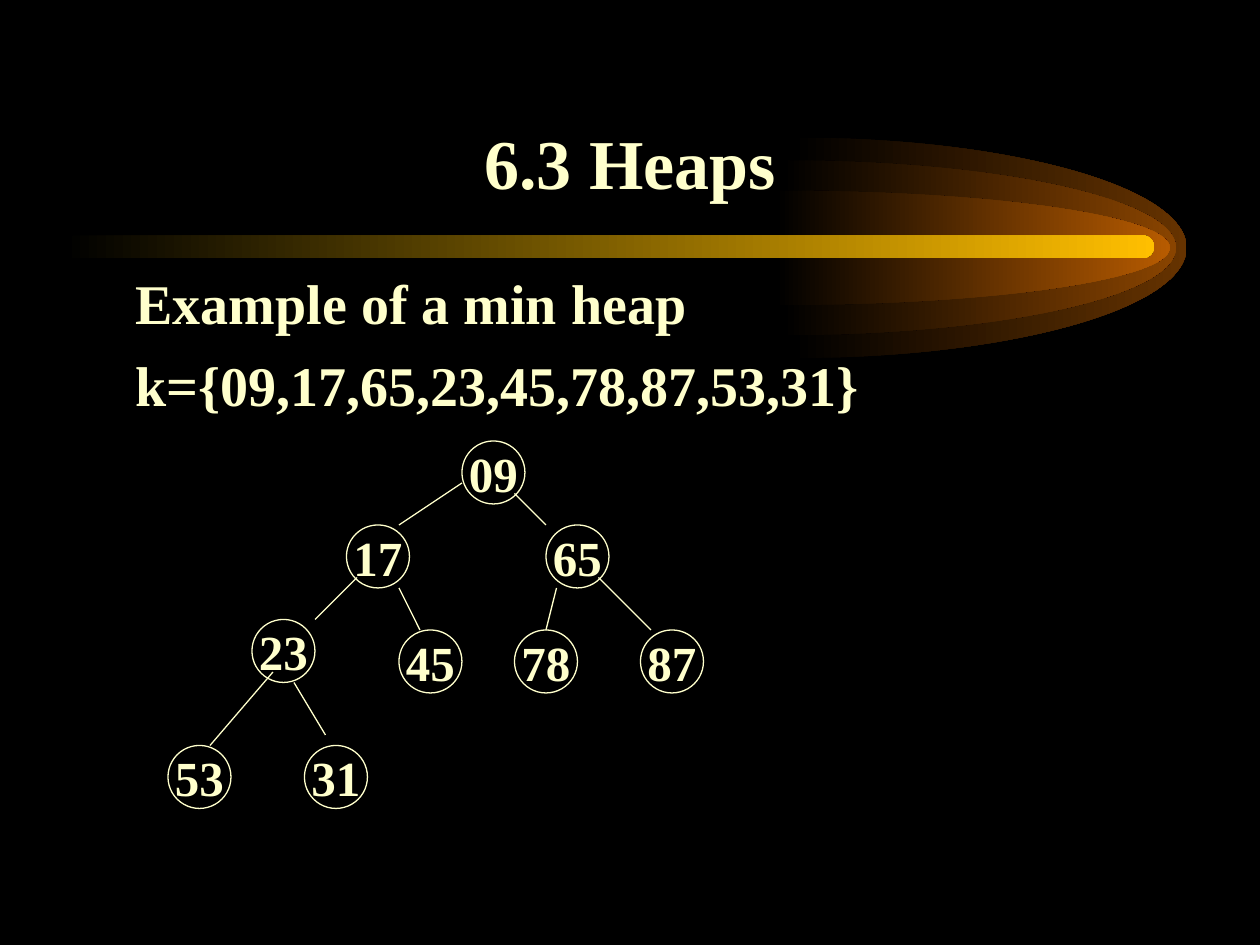
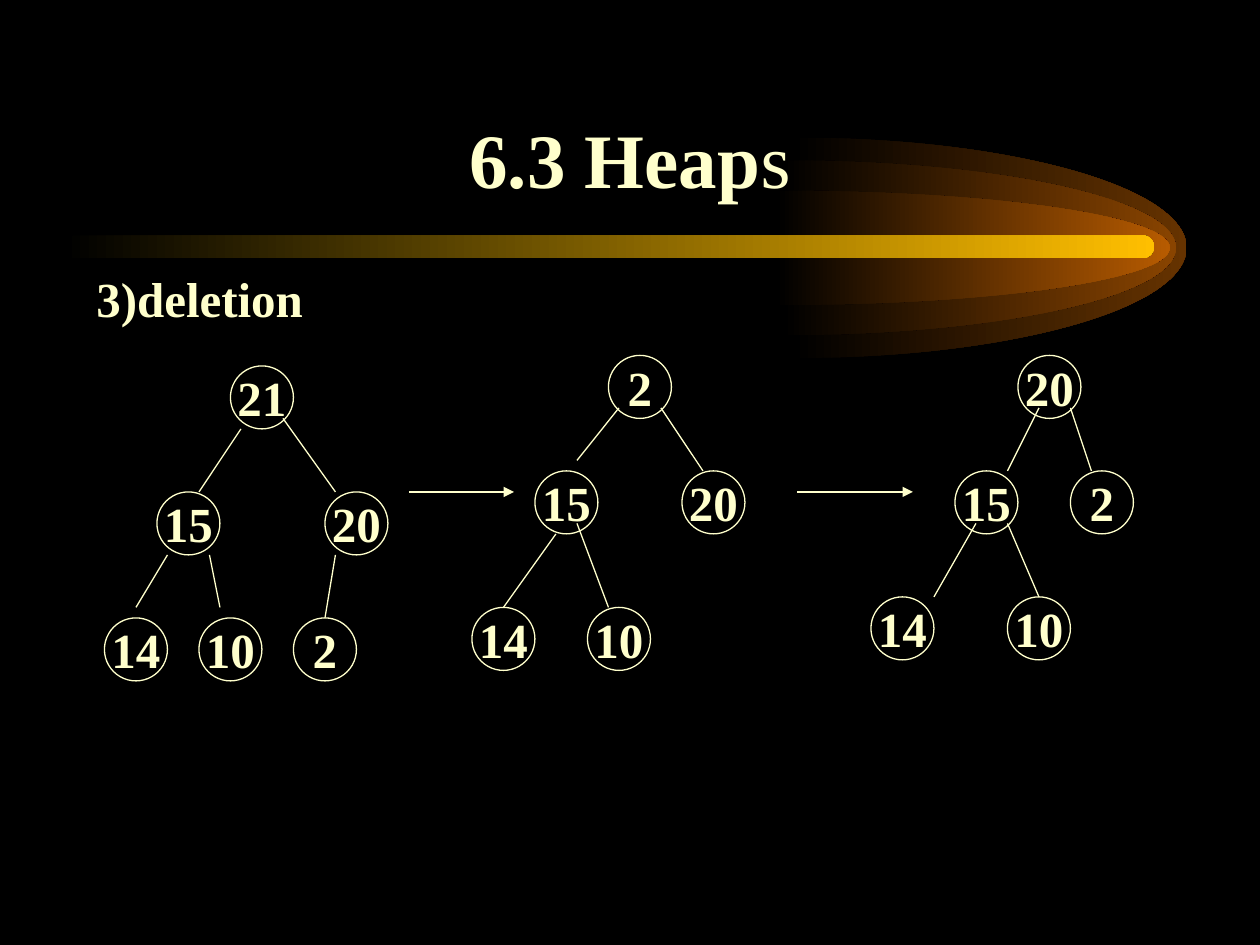
"""Build two slides on heaps: a min heap example and a deletion in three steps."""
from lxml.etree import SubElement
from pptx import Presentation
from pptx.dml.color import RGBColor
from pptx.enum.shapes import MSO_CONNECTOR, MSO_SHAPE
from pptx.enum.text import MSO_ANCHOR, PP_ALIGN
from pptx.oxml.ns import qn
from pptx.util import Pt

BLACK = RGBColor(0x00, 0x00, 0x00)
CREAM = RGBColor(0xFF, 0xFF, 0xCC)
GOLD = RGBColor(0xFF, 0xBF, 0x00)
DARK_BROWN = RGBColor(0x66, 0x33, 0x00)
BROWN = RGBColor(0x89, 0x44, 0x00)
ORANGE = RGBColor(0xB7, 0x5B, 0x00)

FONT = "Times New Roman"
LINE_WIDTH = 0.74
GRID = 6
NODE_SIZE = 6 * GRID
NODE_FONT_SIZE = 28

BAND_MIDDLE = 141.6
GLOW_WIDTH = 225
CURVE_RATIO = 0.55
GLOWS = [(453, 63, DARK_BROWN), (447, 50, BROWN), (443.5, 32.75, ORANGE)]

MIN_HEAP_NODES = [
    ("09", 44, 42), ("17", 33, 50), ("65", 52, 50),
    ("23", 24, 59), ("45", 38, 60), ("78", 49, 60), ("87", 61, 60),
    ("53", 16, 71), ("31", 29, 71),
]
MIN_HEAP_EDGES = [
    (44, 46, 38, 50), (49, 47, 52, 50), (34, 55, 30, 59), (38, 56, 40, 60),
    (53, 56, 52, 60), (57, 55, 62, 60), (26, 64, 20, 71), (28, 65, 31, 70),
]
DELETION_NODES = [
    ("21", 22, 34), ("15", 15, 46), ("20", 31, 46),
    ("14", 10, 58), ("10", 19, 58), ("2", 28, 58),
    ("2", 58, 33), ("15", 51, 44), ("20", 65, 44), ("14", 45, 57), ("10", 56, 57),
    ("20", 97, 33), ("15", 91, 44), ("2", 102, 44), ("14", 83, 56), ("10", 96, 56),
]
DELETION_EDGES = [
    (23, 40, 19, 46), (27, 39, 32, 46), (16, 52, 13, 57), (20, 52, 21, 57),
    (32, 52, 31, 58),
    (59, 38, 55, 43), (63, 38, 67, 44), (53, 50, 48, 57), (55, 49, 58, 57),
    (99, 38, 96, 44), (102, 38, 104, 44), (93, 49, 89, 56), (96, 49, 99, 56),
]
DELETION_ARROWS = [(39, 46, 49, 46), (76, 46, 87, 46)]
DELETION_ORIGIN = (-0.3, 5.1)


def fill_gradient(shape, color):
    shape.shadow.inherit = False
    shape.line.fill.background()
    shape.fill.gradient()
    shape.fill.gradient_angle = 0
    for stop, position, stop_color in zip(shape.fill.gradient_stops, (0, 1), (BLACK, color)):
        stop.position = position
        stop.color.rgb = stop_color


def curve_segments(shape, curve_count):
    segments = list(shape._element.iter(qn("a:lnTo")))
    for index in range(curve_count):
        first, *others = segments[3 * index:3 * index + 3]
        first.tag = qn("a:cubicBezTo")
        for other in others:
            first.append(other[0])
            other.getparent().remove(other)


def add_glow(slide, left, half_height, color):
    handle_x = GLOW_WIDTH * CURVE_RATIO
    handle_y = half_height * CURVE_RATIO
    outline = [
        (0, -half_height), (handle_x, -half_height),
        (GLOW_WIDTH, -handle_y), (GLOW_WIDTH, 0), (GLOW_WIDTH, handle_y),
        (handle_x, half_height), (0, half_height), (0, 0),
    ]
    points = [(Pt(left + x), Pt(BAND_MIDDLE + y)) for x, y in outline]
    builder = slide.shapes.build_freeform(*points[0])
    builder.add_line_segments(points[1:], close=True)
    shape = builder.convert_to_shape()
    curve_segments(shape, 2)
    fill_gradient(shape, color)


def add_band(slide):
    shape = slide.shapes.add_shape(
        MSO_SHAPE.ROUNDED_RECTANGLE, Pt(36), Pt(134.5), Pt(623.5), Pt(13)
    )
    shape.adjustments[0] = 0.5
    fill_gradient(shape, GOLD)


def add_run(paragraph, text, size, bold=True):
    run = paragraph.add_run()
    run.text = text
    run.font.name = FONT
    run.font.size = Pt(size)
    run.font.bold = bold
    run.font.color.rgb = CREAM


def add_text_frame(slide, left, top, height):
    text_frame = slide.shapes.add_textbox(Pt(left), Pt(top), Pt(612), Pt(height)).text_frame
    text_frame.word_wrap = True
    return text_frame


def add_title(slide, size, runs):
    text_frame = add_text_frame(slide, 54, 30, 90)
    text_frame.vertical_anchor = MSO_ANCHOR.BOTTOM
    paragraph = text_frame.paragraphs[0]
    paragraph.alignment = PP_ALIGN.CENTER
    for text, bold in runs:
        add_run(paragraph, text, size, bold)


def add_body(slide, left, size, space_before, indent, lines):
    text_frame = add_text_frame(slide, left, 150, 324)
    for index, line in enumerate(lines):
        paragraph = text_frame.add_paragraph() if index else text_frame.paragraphs[0]
        paragraph.space_before = Pt(space_before)
        paragraph._p.get_or_add_pPr().set("marL", str(Pt(indent)))
        add_run(paragraph, line, size)


def add_node(slide, label, left, top):
    shape = slide.shapes.add_shape(
        MSO_SHAPE.OVAL, Pt(left), Pt(top), Pt(NODE_SIZE), Pt(NODE_SIZE)
    )
    shape.shadow.inherit = False
    shape.fill.background()
    shape.line.color.rgb = CREAM
    shape.line.width = Pt(LINE_WIDTH)
    text_frame = shape.text_frame
    text_frame.word_wrap = False
    text_frame.vertical_anchor = MSO_ANCHOR.MIDDLE
    paragraph = text_frame.paragraphs[0]
    paragraph.alignment = PP_ALIGN.CENTER
    paragraph.space_before = Pt(7)
    add_run(paragraph, label, NODE_FONT_SIZE)


def add_line(slide, ends, arrow=False):
    connector = slide.shapes.add_connector(MSO_CONNECTOR.STRAIGHT, *[Pt(end) for end in ends])
    connector.line.color.rgb = CREAM
    connector.line.width = Pt(LINE_WIDTH)
    if arrow:
        SubElement(connector.line._get_or_add_ln(), qn("a:tailEnd"), type="triangle")
    SubElement(connector._element.spPr, qn("a:effectLst"))


def add_trees(slide, nodes, edges, arrows=(), origin=(0, 0)):
    origin_x, origin_y = origin

    def place(*units):
        return [unit * GRID + (origin_y if index % 2 else origin_x)
                for index, unit in enumerate(units)]

    for label, column, row in nodes:
        add_node(slide, label, *place(column, row))
    for edge in edges:
        add_line(slide, place(*edge))
    for arrow in arrows:
        add_line(slide, place(*arrow), arrow=True)


def add_heap_slide(presentation):
    slide = presentation.slides.add_slide(presentation.slide_layouts[6])
    slide.background.fill.solid()
    slide.background.fill.fore_color.rgb = BLACK
    for left, half_height, color in GLOWS:
        add_glow(slide, left, half_height, color)
    add_band(slide)
    return slide


def main():
    presentation = Presentation()
    presentation.slide_width = Pt(720)
    presentation.slide_height = Pt(540)

    slide = add_heap_slide(presentation)
    add_title(slide, 40, [("6.3 Heaps", True)])
    add_body(slide, 54, 32, 8.2, 16.4,
             ["Example of a min heap", "k={09,17,65,23,45,78,87,53,31}"])
    add_trees(slide, MIN_HEAP_NODES, MIN_HEAP_EDGES)

    slide = add_heap_slide(presentation)
    add_title(slide, 44, [("6.3 Heap", True), ("s", False)])
    add_body(slide, 48, 28, 7, 0, ["3)deletion"])
    add_trees(slide, DELETION_NODES, DELETION_EDGES, DELETION_ARROWS, DELETION_ORIGIN)

    presentation.save("out.pptx")


main()
